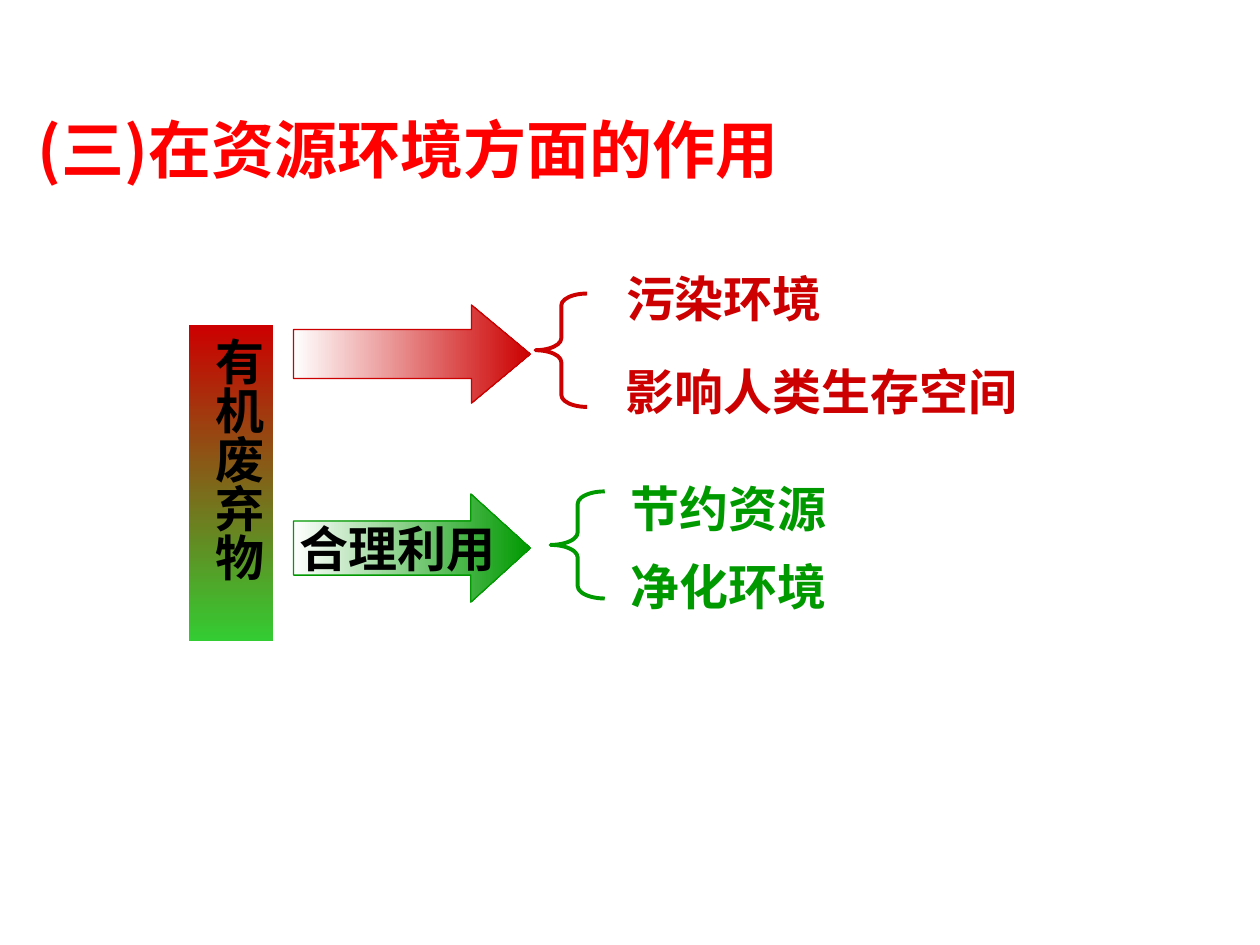
from pptx import Presentation
from pptx.dml.color import RGBColor
from pptx.enum import shapes, text
from pptx.util import Inches, Pt

RED = RGBColor(0xCC, 0x00, 0x00)
GREEN = RGBColor(0x00, 0x99, 0x00)
LIME = RGBColor(0x33, 0xCC, 0x33)
BRIGHT = RGBColor(0xFF, 0x00, 0x00)
BLACK = RGBColor(0x00, 0x00, 0x00)
WHITE = RGBColor(0xFF, 0xFF, 0xFF)
KIND = shapes.MSO_SHAPE
ALIGN = text.PP_ALIGN


class Deck:
    """Holds the text style and the current slide."""
    font = "Times New Roman"
    size = Pt(28)

    def __init__(self, slide):
        self.slide = slide

    def letter(self, frame, words, color, align=ALIGN.LEFT, font=None, size=None):
        """Fill a text frame with one bold paragraph."""
        frame.text = words
        para = frame.paragraphs[0]
        para.alignment = align
        para.font.name = font or self.font
        para.font.size = size or self.size
        para.font.bold = True
        para.font.color.rgb = color

    def title(self, words, box):
        shape = self.slide.shapes.title
        shape.left, shape.top, shape.width, shape.height = map(Inches, box)
        frame = shape.text_frame
        frame.word_wrap = False
        frame.auto_size = text.MSO_AUTO_SIZE.SHAPE_TO_FIT_TEXT
        frame.vertical_anchor = text.MSO_ANCHOR.TOP
        self.letter(frame, words, BRIGHT, font="Noto Sans CJK SC", size=Pt(36))

    def shape(self, kind, box, home=None):
        shape = (home or self.slide).shapes.add_shape(kind, *map(Inches, box))
        shape.shadow.inherit = False
        return shape

    def fade(self, shape, start, end, angle):
        shape.fill.gradient()
        shape.fill.gradient_angle = angle
        for stop, color, place in zip(shape.fill.gradient_stops, (start, end), (0, 1)):
            stop.color.rgb = color
            stop.position = place

    def column(self, words, box):
        shape = self.shape(KIND.RECTANGLE, box)
        self.fade(shape, RED, LIME, 270)
        shape.line.fill.background()
        frame = shape.text_frame
        frame.vertical_anchor = text.MSO_ANCHOR.TOP
        frame.auto_size = text.MSO_AUTO_SIZE.SHAPE_TO_FIT_TEXT
        body = shape.element.txBody.bodyPr
        body.set("vert", "eaVert")
        self.letter(frame, words, BLACK, ALIGN.CENTER)
        frame.paragraphs[0].space_before = Pt(14)

    def arrow(self, box, head, color, words=""):
        shape = self.shape(KIND.RIGHT_ARROW, box)
        shape.adjustments[1] = head
        self.fade(shape, WHITE, color, 0)
        shape.line.color.rgb = color
        shape.line.width = Pt(0.75)
        if words:
            frame = shape.text_frame
            frame.word_wrap = False
            frame.vertical_anchor = text.MSO_ANCHOR.MIDDLE
            self.letter(frame, words, BLACK, ALIGN.CENTER)

    def label(self, home, words, box, color):
        frame = home.shapes.add_textbox(*map(Inches, box)).text_frame
        frame.word_wrap = True
        frame.auto_size = text.MSO_AUTO_SIZE.SHAPE_TO_FIT_TEXT
        self.letter(frame, words, color)

    def branch(self, box, color, labels):
        """Group a left brace with the labels it gathers."""
        group = self.slide.shapes.add_group_shape()
        for words, place in labels:
            self.label(group, words, place, color)
        brace = self.shape(KIND.LEFT_BRACE, box, group)
        brace.adjustments[0] = 0.23
        brace.fill.background()
        brace.line.color.rgb = color
        brace.line.width = Pt(2.25)


def main():
    show = Presentation()
    show.slide_width, show.slide_height = Inches(10), Inches(7.5)
    deck = Deck(show.slides.add_slide(show.slide_layouts[5]))

    deck.title("(三)在资源环境方面的作用", (0.2, 0.83, 6.61, 0.7))
    deck.column("有机废弃物", (1.5, 2.58, 0.67, 2.51))
    deck.arrow((2.33, 2.42, 1.88, 0.78), 0.6, RED)
    deck.arrow((2.33, 3.92, 1.88, 0.86), 0.55, GREEN, "合理利用")
    deck.branch((4.25, 2.33, 0.41, 0.9), RED, [
        ("污染环境", (4.87, 2.08, 1.85, 0.57)),
        ("影响人类生存空间", (4.87, 2.82, 3.6, 0.57)),
    ])
    deck.branch((4.37, 3.9, 0.43, 0.85), GREEN, [
        ("节约资源", (4.91, 3.75, 2.06, 0.57)),
        ("净化环境", (4.91, 4.37, 2.06, 0.57)),
    ])
    show.save("out.pptx")


if __name__ == "__main__":
    main()
